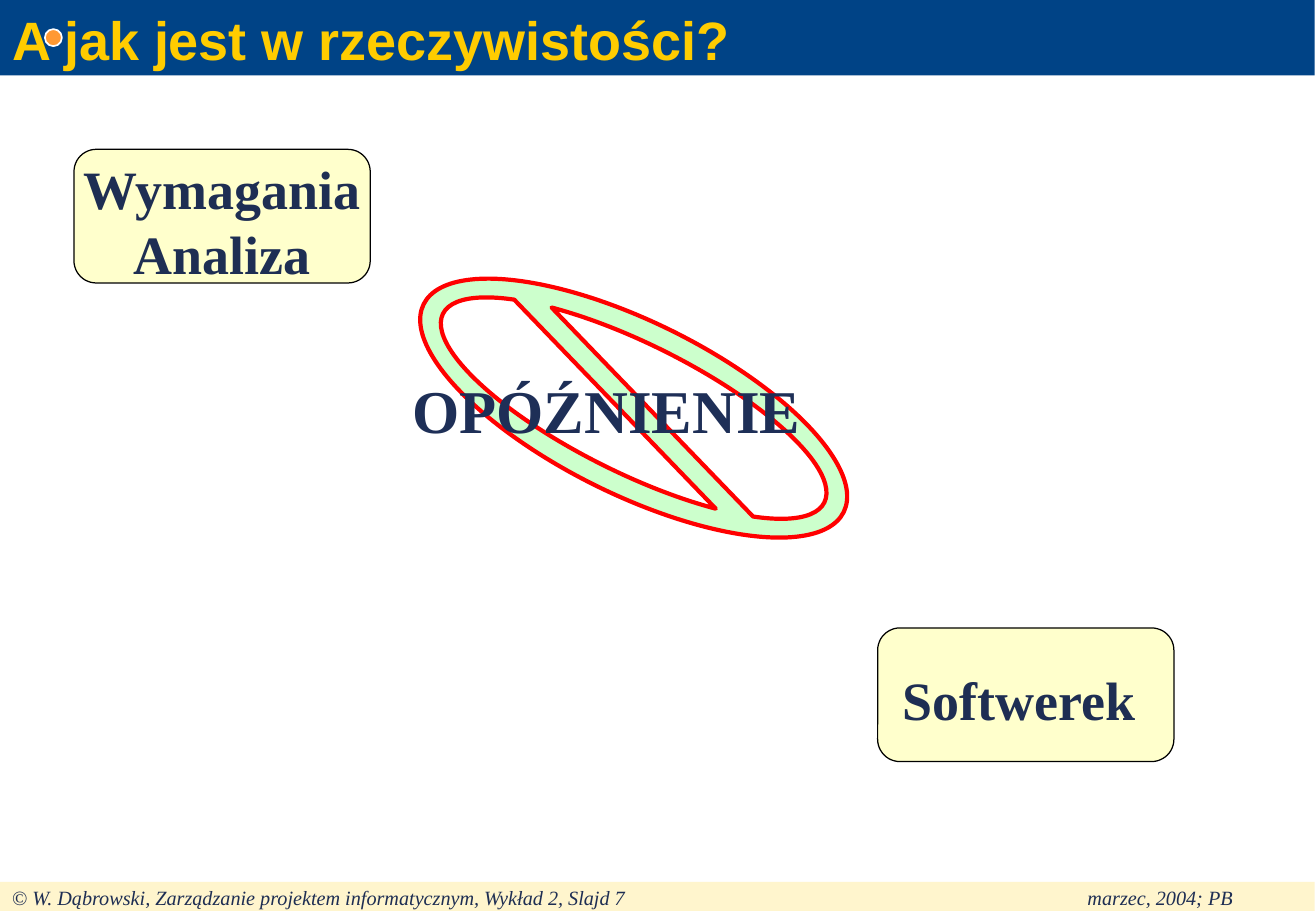
from dataclasses import dataclass

from lxml import etree
from pptx import Presentation
from pptx import util as u
from pptx.dml.color import RGBColor
from pptx.enum import shapes, text
from pptx.oxml import ns

TITLE = "A jak jest w rzeczywistości?"
STAGES = [("Wymagania\vAnaliza", 0.61, 1.23), ("Softwerek ", 7.23, 5.17)]
STAGE_SIZE = (2.44, 1.1)
DELAY = "OPÓŹNIENIE"
FOOTER = "© W. Dąbrowski, Zarządzanie projektem informatycznym, Wykład 2, Slajd 7\tmarzec, 2004; PB"
FOOTER_TAB = 8.86
BAND_WIDTH = 10.83


@dataclass(frozen=True)
class Theme:
    heading_font: str = "Arial"
    body_font: str = "Times New Roman"
    large: int = 32
    delay: int = 36
    small: int = 12
    title_fill: str = "004386"
    title_ink: str = "FFCC00"
    ink: str = "1E2E53"
    delay_ink: str = "1E2F57"
    footer_fill: str = "FFF5CD"
    stage_fill: str = "FFFFCC"
    stage_line: str = "000000"
    dot_fill: str = "FF9933"
    dot_line: str = "FFFFFF"
    sign_fill: str = "CCFFCC"
    sign_line: str = "FF0000"


THEME = Theme()
PRESET = shapes.MSO_SHAPE
LEFT, CENTER = text.PP_ALIGN.LEFT, text.PP_ALIGN.CENTER
TOP, MIDDLE = text.MSO_ANCHOR.TOP, text.MSO_ANCHOR.MIDDLE


def add_shape(page, preset, place, fill, line=None, weight=0):
    shape = page.shapes.add_shape(preset, *map(u.Inches, place))
    shape.shadow.inherit = False
    shape.fill.solid()
    shape.fill.fore_color.rgb = RGBColor.from_string(fill)
    if line:
        shape.line.color.rgb = RGBColor.from_string(line)
        shape.line.width = u.Pt(weight)
    else:
        shape.line.fill.background()
    return shape


def write(box, words, size, color, font=THEME.body_font, bold=True, italic=False,
          align=LEFT, anchor=TOP, wrap=False, insets=(0.05, 0.05)):
    frame = box.text_frame
    frame.text = words
    frame.word_wrap = wrap
    frame.auto_size = text.MSO_AUTO_SIZE.NONE
    frame.vertical_anchor = anchor
    frame.margin_left = frame.margin_right = u.Inches(0.1)
    frame.margin_top, frame.margin_bottom = map(u.Inches, insets)
    para = frame.paragraphs[0]
    para.alignment = align
    for span in para.runs:
        span.font.name = font
        span.font.size = u.Pt(size)
        span.font.bold = bold
        span.font.italic = italic
        span.font.color.rgb = RGBColor.from_string(color)
    return para


def add_title(page):
    title = page.shapes.title
    title.left = title.top = u.Inches(0)
    title.width, title.height = u.Inches(BAND_WIDTH), u.Inches(0.62)
    title.fill.solid()
    title.fill.fore_color.rgb = RGBColor.from_string(THEME.title_fill)
    write(title, TITLE, THEME.large, THEME.title_ink, THEME.heading_font, wrap=True)


def add_footer(page):
    footer = add_shape(page, PRESET.RECTANGLE, (0, 7.26, BAND_WIDTH, 0.24), THEME.footer_fill)
    para = write(footer, FOOTER, THEME.small, THEME.ink, bold=False, italic=True,
                 wrap=True, insets=(0.03, 0))
    properties = para._p.get_or_add_pPr()
    tabs = etree.SubElement(properties, ns.qn("a:tabLst"))
    etree.SubElement(tabs, ns.qn("a:tab"), pos=str(u.Inches(FOOTER_TAB)), algn="l")


def add_delay(page):
    sign = add_shape(page, PRESET.NO_SYMBOL, (3.29, 2.65, 3.86, 1.42),
                     THEME.sign_fill, THEME.sign_line, 2.5)
    sign.adjustments[0] = 0.125
    sign.rotation = 26.3
    label = page.shapes.add_textbox(*map(u.Inches, (3.3, 2.96, 3.39, 0.7)))
    write(label, DELAY, THEME.delay, THEME.delay_ink, insets=(0.11, 0.05))


def main():
    """Build the slide about delay between analysis and software."""
    deck = Presentation()
    deck.slide_width, deck.slide_height = u.Inches(10.84), u.Inches(7.5)
    page = deck.slides.add_slide(deck.slide_layouts[5])
    add_title(page)
    add_footer(page)
    add_shape(page, PRESET.OVAL, (0.37, 0.24, 0.14, 0.14), THEME.dot_fill, THEME.dot_line, 1)
    for words, left, top in STAGES:
        stage = add_shape(page, PRESET.FLOWCHART_ALTERNATE_PROCESS, (left, top, *STAGE_SIZE),
                          THEME.stage_fill, THEME.stage_line, 0.75)
        write(stage, words, THEME.large, THEME.ink, align=CENTER, anchor=MIDDLE,
              insets=(0.12, 0.05))
    add_delay(page)
    deck.save("out.pptx")


if __name__ == "__main__":
    main()
